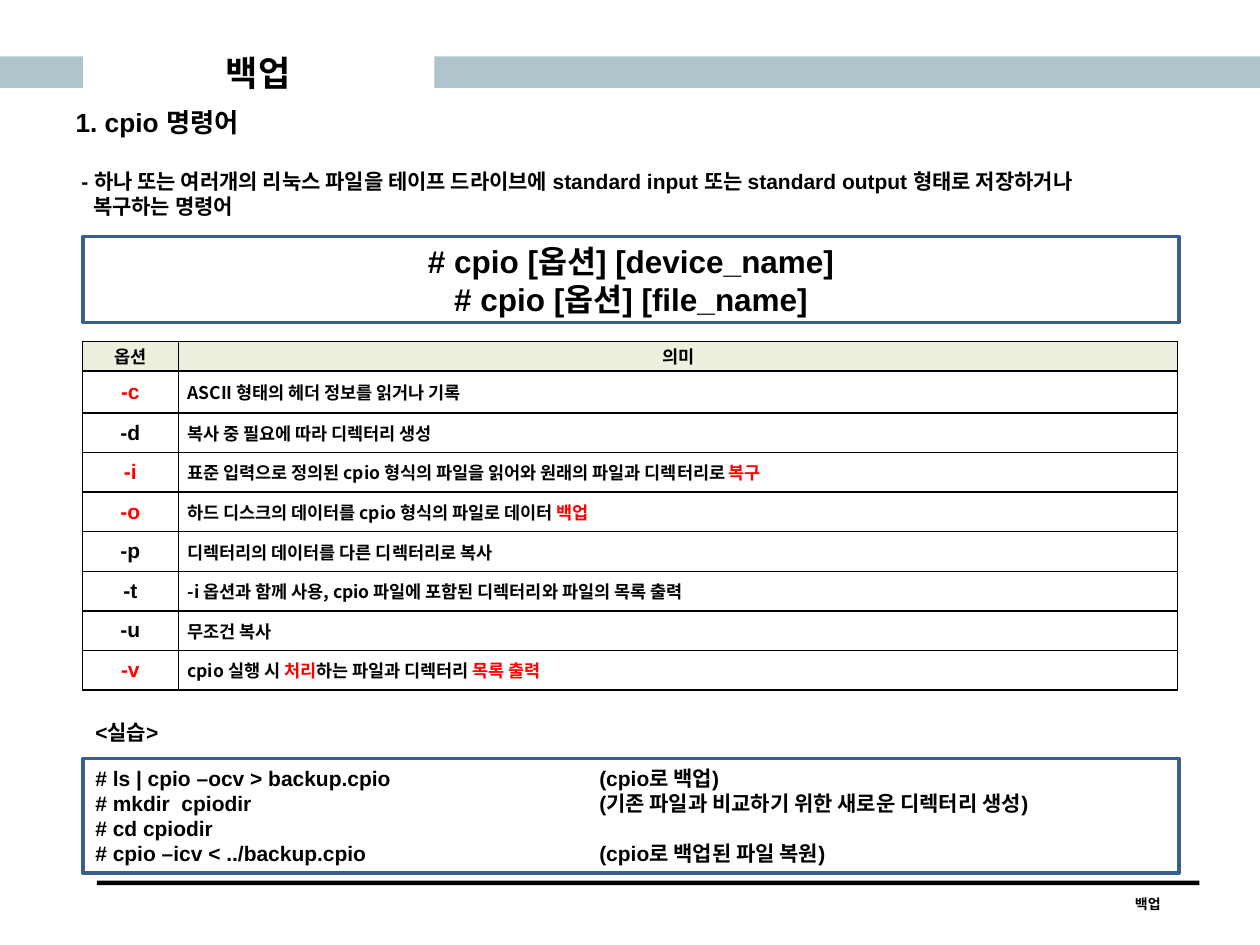
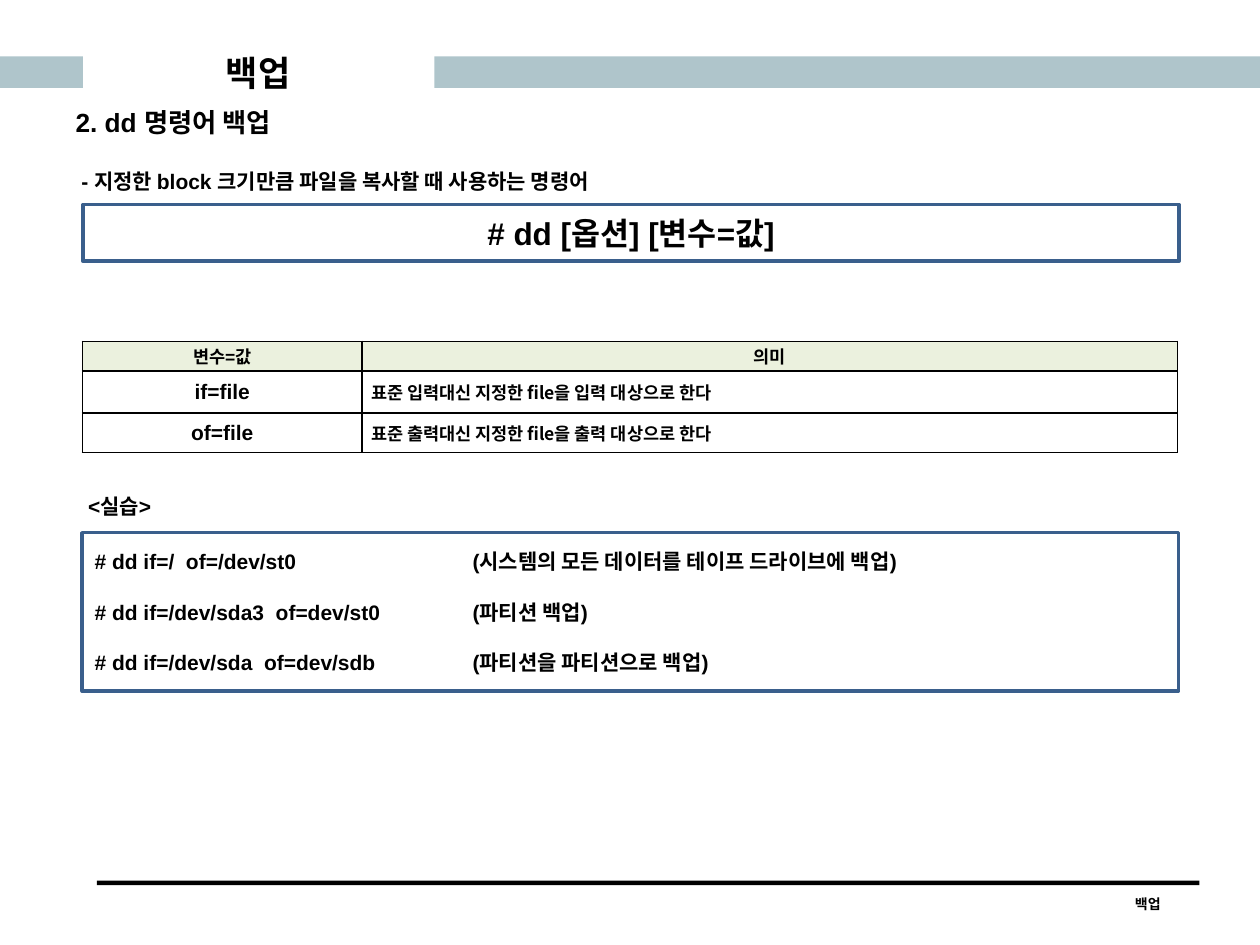
from dataclasses import dataclass
from typing import NamedTuple

from lxml import etree
from pptx import Presentation
from pptx.dml.color import RGBColor
from pptx.enum.shapes import MSO_SHAPE
from pptx.enum.text import MSO_ANCHOR, MSO_AUTO_SIZE, PP_ALIGN
from pptx.oxml.ns import qn
from pptx.util import Pt

RECT = MSO_SHAPE.RECTANGLE
LEFT, CENTER = PP_ALIGN.LEFT, PP_ALIGN.CENTER
TOP, MIDDLE = MSO_ANCHOR.TOP, MSO_ANCHOR.MIDDLE
NO_AUTOFIT = MSO_AUTO_SIZE.NONE
TITLE_AND_CONTENT = 1


@dataclass(frozen=True)
class Theme:
    text: str = "000000"
    hot: str = "FF0000"
    band: str = "AFC5CB"
    frame: str = "3A5F8C"
    header: str = "EBF1DE"
    font: str = "Arial"
    korean: str = "Noto Sans CJK KR"
    title: int = 20
    syntax: int = 18
    heading: int = 15
    body: int = 12
    cell: int = 10
    footer: int = 8


class Box(NamedTuple):
    x: float
    y: float
    w: float
    h: float

    def emu(self):
        return [Pt(v) for v in self]


T = Theme()
PAGE = Box(0, 0, 720, 540)
TOPIC = "백업"


def color(code):
    return RGBColor.from_string(code)


def add_runs(p, text, size, font=T.font):
    """Write text into p; the parts between asterisks are highlighted."""
    for i, part in enumerate(text.split("*")):
        if not part:
            continue
        r = p.add_run()
        r.text = part
        r.font.size, r.font.bold, r.font.name = Pt(size), True, font
        r.font.color.rgb = color(T.hot if i % 2 else T.text)
        ea = etree.SubElement(r._r.get_or_add_rPr(), qn("a:ea"))
        ea.set("typeface", T.korean)


def write(tf, lines, size, align=LEFT, anchor=TOP, gap=0, tab=None):
    tf.word_wrap, tf.auto_size, tf.vertical_anchor = True, NO_AUTOFIT, anchor
    for i, line in enumerate(lines):
        p = tf.add_paragraph() if i else tf.paragraphs[0]
        p.alignment = align
        if i and gap:
            p.space_before = Pt(gap)
        if tab:
            tabs = etree.SubElement(p._p.get_or_add_pPr(), qn("a:tabLst"))
            etree.SubElement(tabs, qn("a:tab"), pos=str(Pt(tab)), algn="l")
        add_runs(p, line, size)


def add_rect(slide, box, fill=None, line=None):
    sp = slide.shapes.add_shape(RECT, *box.emu())
    sp.shadow.inherit = False
    if fill:
        sp.fill.solid()
        sp.fill.fore_color.rgb = color(fill)
    else:
        sp.fill.background()
    if line:
        sp.line.color.rgb = color(line)
        sp.line.width = Pt(2)
    else:
        sp.line.fill.background()
    return sp


def place(sp, box):
    sp.left, sp.top, sp.width, sp.height = box.emu()
    return sp.text_frame


def add_text(slide, box, text, size, align=LEFT):
    tf = slide.shapes.add_textbox(*box.emu()).text_frame
    write(tf, [text], size, align)


def add_page(prs, page):
    """Add a slide with its title, bands and footer."""
    slide = prs.slides.add_slide(prs.slide_layouts[TITLE_AND_CONTENT])
    right = page.x + page.w
    band_y = page.y + 32.2
    add_rect(slide, Box(page.x, band_y, 47.4, 18), T.band)
    add_rect(slide, Box(right - 471.8, band_y, 471.8, 18), T.band)
    rule = Box(page.x + 55.4, page.y + page.h - 36.8, 630, 2.6)
    add_rect(slide, rule, T.text)
    add_text(slide, Box(right - 93.6, rule.y + 5.1, 59, 17), TOPIC, T.footer, CENTER)
    tf = place(slide.shapes.title, Box(page.x + 54, page.y + 26, 187, 31))
    write(tf, [TOPIC], T.title, CENTER, MIDDLE)
    return slide


def add_intro(slide, box, heading, description):
    tf = place(slide.placeholders[1], box)
    tf.word_wrap, tf.auto_size, tf.vertical_anchor = True, NO_AUTOFIT, TOP
    rows = [(heading, T.heading, 0, 0)]
    for i, line in enumerate(description):
        rows.append((line, T.body, 10 if i else 3.3, 0 if i else 17.5))
    for i, (text, size, indent, before) in enumerate(rows):
        p = tf.add_paragraph() if i else tf.paragraphs[0]
        pPr = p._p.get_or_add_pPr()
        pPr.set("marL", str(Pt(indent)))
        pPr.set("indent", "0")
        p.space_before = Pt(before)
        etree.SubElement(pPr, qn("a:buNone"))
        add_runs(p, text, size)


def add_syntax(slide, box, lines):
    sp = add_rect(slide, box, line=T.frame)
    write(sp.text_frame, lines, T.syntax, CENTER, MIDDLE)


def add_practice(slide, box, label_x, lines, tab, gap=0):
    """Add the framed commands, with their label just above the frame."""
    add_text(slide, Box(label_x, box.y - 26, 649, 22), "<실습>", T.body)
    sp = add_rect(slide, box, line=T.frame)
    write(sp.text_frame, lines, T.body, LEFT, MIDDLE, gap, tab)


def set_borders(cell):
    tcPr = cell._tc.get_or_add_tcPr()
    for i, side in enumerate(("lnL", "lnR", "lnT", "lnB")):
        ln = etree.Element(qn("a:" + side), w=str(Pt(1)))
        fill = etree.SubElement(ln, qn("a:solidFill"))
        etree.SubElement(fill, qn("a:srgbClr"), val=T.text)
        tcPr.insert(i, ln)


def add_meanings(slide, box, key_width, rows):
    """Add a table of terms and meanings; the first row is its header."""
    table = slide.shapes.add_table(len(rows), 2, *box.emu()).table
    table.first_row = table.horz_banding = False
    table.columns[0].width = Pt(key_width)
    table.columns[1].width = Pt(box.w - key_width)
    heights = [17, 24] + [22.6] * (len(rows) - 2)
    for r, row in enumerate(rows):
        table.rows[r].height = Pt(heights[r])
        for c, text in enumerate(row):
            cell = table.cell(r, c)
            cell.margin_left = cell.margin_right = Pt(5.2)
            cell.margin_top = cell.margin_bottom = 0
            cell.vertical_anchor = MIDDLE
            if r == 0:
                cell.fill.solid()
                cell.fill.fore_color.rgb = color(T.header)
            else:
                cell.fill.background()
            set_borders(cell)
            p = cell.text_frame.paragraphs[0]
            p.alignment = CENTER if r == 0 or c == 0 else LEFT
            size = T.body if r and c == 0 else T.cell
            add_runs(p, text, size, T.korean if c else T.font)


def build_cpio(prs):
    slide = add_page(prs, PAGE)
    add_intro(slide, Box(36, 57, 664, 73), "1. cpio 명령어", [
        "- 하나 또는 여러개의 리눅스 파일을 테이프 드라이브에 standard input 또는 "
        "standard output 형태로 저장하거나",
        "복구하는 명령어"])
    add_syntax(slide, Box(47.4, 135.2, 626.4, 49), [
        "# cpio [옵션] [device_name]", "# cpio [옵션] [file_name]"])
    add_meanings(slide, Box(47, 195.1, 626, 199.2), 55, [
        ("옵션", "의미"),
        ("*-c*", "ASCII 형태의 헤더 정보를 읽거나 기록"),
        ("-d", "복사 중 필요에 따라 디렉터리 생성"),
        ("*-i*", "표준 입력으로 정의된 cpio 형식의 파일을 읽어와 "
                 "원래의 파일과 디렉터리로 *복구*"),
        ("*-o*", "하드 디스크의 데이터를 cpio 형식의 파일로 데이터 *백업*"),
        ("-p", "디렉터리의 데이터를 다른 디렉터리로 복사"),
        ("-t", "-i 옵션과 함께 사용, cpio 파일에 포함된 디렉터리와 파일의 목록 출력"),
        ("-u", "무조건 복사"),
        ("*-v*", "cpio 실행 시 *처리*하는 파일과 디렉터리 *목록 출력*")])
    add_practice(slide, Box(47.4, 433.4, 626.4, 65.6), 47.4, [
        "# ls | cpio –ocv > backup.cpio\t(cpio로 백업)",
        "# mkdir  cpiodir\t(기존 파일과 비교하기 위한 새로운 디렉터리 생성)",
        "# cd cpiodir",
        "# cpio –icv < ../backup.cpio\t(cpio로 백업된 파일 복원)"], tab=288)


def build_dd(prs):
    slide = add_page(prs, PAGE)
    add_intro(slide, Box(36, 57, 664, 58), "2. dd 명령어 백업", [
        "- 지정한 block 크기만큼 파일을 복사할 때 사용하는 명령어"])
    add_syntax(slide, Box(47.4, 116.9, 626.4, 32.4), ["# dd [옵션] [변수=값]"])
    add_meanings(slide, Box(47, 195.1, 626, 63.6), 160, [
        ("변수=값", "의미"),
        ("if=file", "표준 입력대신 지정한 file을 입력 대상으로 한다"),
        ("of=file", "표준 출력대신 지정한 file을 출력 대상으로 한다")])
    add_practice(slide, Box(47, 304.4, 626.4, 90.5), 43.2, [
        "# dd if=/  of=/dev/st0\t(시스템의 모든 데이터를 테이프 드라이브에 백업)",
        "# dd if=/dev/sda3  of=dev/st0\t(파티션 백업)",
        "# dd if=/dev/sda  of=dev/sdb\t(파티션을 파티션으로 백업)"],
        tab=216, gap=14.4)


def main():
    prs = Presentation()
    prs.slide_width, prs.slide_height = Pt(PAGE.w), Pt(PAGE.h)
    build_cpio(prs)
    build_dd(prs)
    prs.save("out.pptx")


if __name__ == "__main__":
    main()
